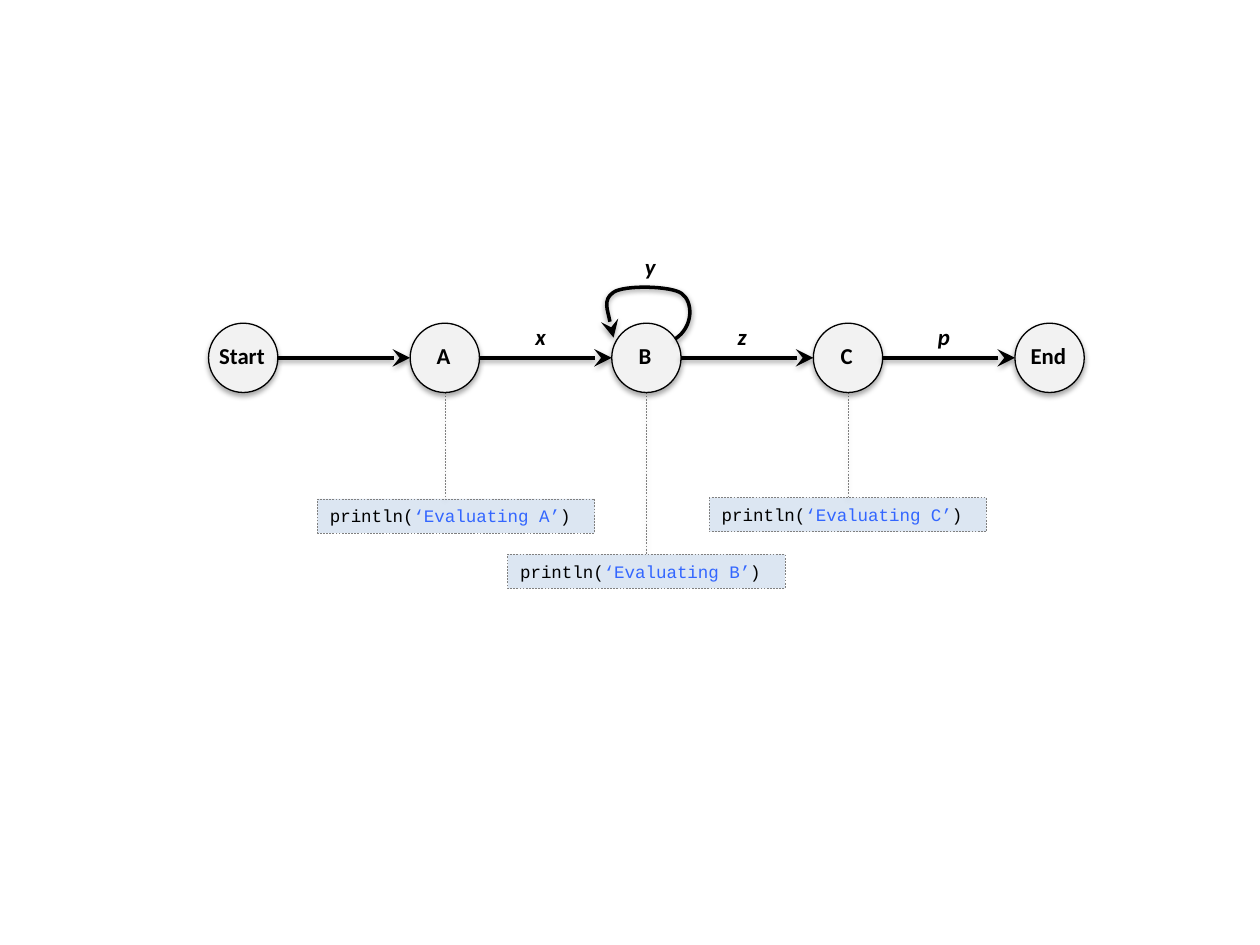
from lxml import etree
from pptx import Presentation
from pptx.dml.color import RGBColor
from pptx.enum.dml import MSO_LINE
from pptx.enum.shapes import MSO_CONNECTOR, MSO_SHAPE
from pptx.enum.text import MSO_ANCHOR, PP_ALIGN
from pptx.oxml.ns import qn
from pptx.util import Inches, Pt

BLACK = RGBColor(0x00, 0x00, 0x00)
NODE_FILL = RGBColor(0xF2, 0xF2, 0xF2)
NOTE_FILL = RGBColor(0xDC, 0xE6, 0xF2)
NOTE_LINE = RGBColor(0x80, 0x80, 0x80)
LEADER = RGBColor(0x7F, 0x7F, 0x7F)
STRING_BLUE = RGBColor(0x33, 0x66, 0xFF)

FIRST_X, PITCH, ROW_Y = 1.93, 1.6, 2.84
DIAMETER, RADIUS = 0.55, 0.275
LABEL_WIDTH, LABEL_HEIGHT = 0.73, 0.32
NOTE_WIDTH, NOTE_HEIGHT = 2.2, 0.27

NODES = ["Start", "A", "B", "C", "End"]
EDGES = ["", "x", "z", "p"]
NOTES = [("A", 0.09, 3.96), ("B", 0, 4.4), ("C", 0, 3.95)]
LOOP_POINTS = [
    (5.36, 2.69), (5.51, 2.59), (5.5, 2.39), (5.41, 2.33), (5.33, 2.27),
    (4.96, 2.26), (4.87, 2.32), (4.78, 2.38), (4.87, 2.68), (4.87, 2.68),
]


def column_x(column):
    return FIRST_X + column * PITCH


def centred_box(x, y, width, height):
    return [Inches(v) for v in (x - width / 2, y - height / 2, width, height)]


def style_line(shape, color, width, dash=None):
    shape.line.color.rgb = color
    shape.line.width = Pt(width)
    if dash:
        shape.line.dash_style = dash


def add_arrowhead(shape):
    line = shape.line._get_or_add_ln()
    etree.SubElement(line, qn("a:tailEnd"), type="stealth", w="lg", len="lg")


def add_shadow(shape, opacity, distance):
    effects = etree.SubElement(shape._element.spPr, qn("a:effectLst"))
    shadow = etree.SubElement(
        effects, qn("a:outerShdw"), blurRad=str(Pt(3.1)),
        dist=str(Pt(distance)), dir="5400000", rotWithShape="0")
    color = etree.SubElement(shadow, qn("a:srgbClr"), val=str(BLACK))
    etree.SubElement(color, qn("a:alpha"), val=str(opacity * 1000))


def add_label(shapes, text, x, y, italic=False):
    label = shapes.add_textbox(*centred_box(x, y, LABEL_WIDTH, LABEL_HEIGHT))
    label.text_frame.word_wrap = True
    paragraph = label.text_frame.paragraphs[0]
    paragraph.text = text
    paragraph.alignment = PP_ALIGN.CENTER
    font = paragraph.runs[0].font
    font.name, font.size, font.bold = "Calibri", Pt(13), True
    font.color.rgb = BLACK
    if italic:
        font.italic = True


def add_node(slide, text, x):
    group = slide.shapes.add_group_shape()
    circle = group.shapes.add_shape(
        MSO_SHAPE.OVAL, *centred_box(x, ROW_Y, DIAMETER, DIAMETER))
    circle.fill.solid()
    circle.fill.fore_color.rgb = NODE_FILL
    style_line(circle, BLACK, 0.75)
    add_shadow(circle, 35, 1.8)
    add_label(group.shapes, text, x - 0.01, ROW_Y - 0.02)


def add_connector(slide, start, end, color, width, dash=None):
    connector = slide.shapes.add_connector(
        MSO_CONNECTOR.STRAIGHT, *[Inches(v) for v in start + end])
    style_line(connector, color, width, dash)
    add_shadow(connector, 38, 1.6)
    return connector


def add_edge(slide, text, column):
    start = (column_x(column) + RADIUS, ROW_Y)
    end = (column_x(column + 1) - RADIUS, ROW_Y)
    add_arrowhead(add_connector(slide, start, end, BLACK, 2))
    if text:
        add_label(slide.shapes, text, column_x(column + 0.5) - 0.04,
                  ROW_Y - 0.17, italic=True)


def add_note(slide, name, shift, top):
    x = column_x(NODES.index(name))
    note = slide.shapes.add_shape(
        MSO_SHAPE.RECTANGLE,
        *centred_box(x + shift, top + NOTE_HEIGHT / 2, NOTE_WIDTH, NOTE_HEIGHT))
    note.fill.solid()
    note.fill.fore_color.rgb = NOTE_FILL
    style_line(note, NOTE_LINE, 0.25, MSO_LINE.DASH)
    note.shadow.inherit = False
    note.text_frame.word_wrap = True
    note.text_frame.vertical_anchor = MSO_ANCHOR.TOP
    paragraph = note.text_frame.paragraphs[0]
    paragraph.alignment = PP_ALIGN.LEFT
    pieces = [("println(", BLACK), (f"‘Evaluating {name}’", STRING_BLUE), (")", BLACK)]
    for text, color in pieces:
        run = paragraph.add_run()
        run.text = text
        run.font.name, run.font.size = "Courier New", Pt(10)
        run.font.color.rgb = color
    leader = add_connector(slide, (x, ROW_Y + RADIUS), (x, top), LEADER, 0.25,
                           MSO_LINE.DASH)
    if not shift:
        leader.end_connect(note, 0)


def add_loop(slide, text):
    points = [(Inches(x), Inches(y)) for x, y in LOOP_POINTS]
    builder = slide.shapes.build_freeform(*points[0])
    builder.add_line_segments(points[1:], close=False)
    loop = builder.convert_to_shape()
    outline = loop._element.spPr.find(".//" + qn("a:path"))
    segments = outline.findall(qn("a:lnTo"))
    for first in range(0, len(segments), 3):
        curve = etree.SubElement(outline, qn("a:cubicBezTo"))
        for segment in segments[first:first + 3]:
            curve.append(segment[0])
            outline.remove(segment)
    loop.fill.background()
    style_line(loop, BLACK, 2)
    add_arrowhead(loop)
    add_shadow(loop, 38, 1.6)
    add_label(slide.shapes, text, column_x(2) + 0.03, 2.12, italic=True)


def main():
    presentation = Presentation()
    presentation.slide_width, presentation.slide_height = Inches(10), Inches(7.5)
    slide = presentation.slides.add_slide(presentation.slide_layouts[6])
    for note in NOTES:
        add_note(slide, *note)
    for column, text in enumerate(NODES):
        add_node(slide, text, column_x(column))
    for column, text in enumerate(EDGES):
        add_edge(slide, text, column)
    add_loop(slide, "y")
    presentation.save("out.pptx")


if __name__ == "__main__":
    main()
